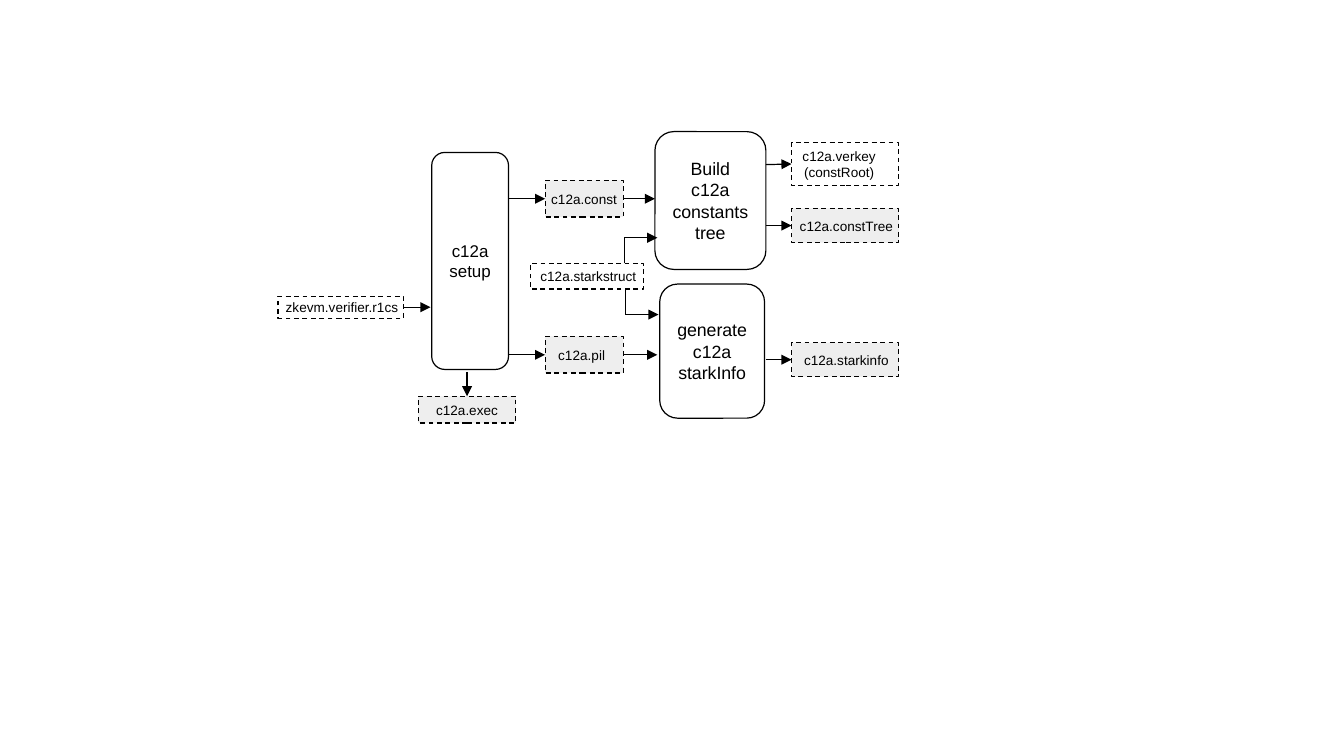
from dataclasses import dataclass

from lxml.etree import SubElement
from pptx import Presentation
from pptx.dml.color import RGBColor as Color
from pptx.enum.dml import MSO_LINE as Dash
from pptx.enum.shapes import MSO_CONNECTOR as Link, MSO_SHAPE as Kind
from pptx.enum.text import MSO_ANCHOR as Anchor, PP_ALIGN as Align
from pptx.oxml.ns import qn
from pptx.util import Inches, Pt


@dataclass(frozen=True)
class Theme:
    font: str = "Arial"
    ink: Color = Color(0, 0, 0)
    white: Color = Color(255, 255, 255)
    grey: Color = Color(0xEE, 0xEE, 0xEE)
    line: float = 0.71
    file: float = 8
    setup: float = 10
    step: float = 10.5


theme = Theme()
deck = Presentation()
deck.slide_width, deck.slide_height = Inches(11.02), Inches(6.2)
slide = deck.slides.add_slide(deck.slide_layouts[6])


def add_box(kind, area, fill, lines, size, pad=0, shift=0):
    """Outlined box with centred text; shift moves the text sideways."""
    box = slide.shapes.add_shape(kind, *map(Inches, area))
    box.shadow.inherit = False
    if fill is None:
        box.fill.background()
    else:
        box.fill.solid()
        box.fill.fore_color.rgb = fill
    box.line.color.rgb = theme.ink
    box.line.width = Pt(theme.line)
    frame = box.text_frame
    frame.word_wrap = pad > 0
    frame.vertical_anchor = Anchor.MIDDLE
    frame.margin_left = Inches(pad + max(0, 2 * shift))
    frame.margin_right = Inches(pad + max(0, -2 * shift))
    frame.margin_top = frame.margin_bottom = 0
    for i, line in enumerate(lines):
        para = frame.paragraphs[0] if i == 0 else frame.add_paragraph()
        para.alignment = Align.CENTER
        run = para.add_run()
        run.text = line
        run.font.name, run.font.size = theme.font, Pt(size)
        run.font.color.rgb = theme.ink
    return box


def add_line(start, end, head=True):
    """Straight line between two points, with an arrowhead if asked."""
    line = slide.shapes.add_connector(Link.STRAIGHT, *map(Inches, start + end))
    line.line.color.rgb = theme.ink
    line.line.width = Pt(theme.line)
    if head:
        SubElement(line.line._get_or_add_ln(), qn("a:tailEnd"), type="triangle")
    SubElement(line._element.spPr, qn("a:effectLst"))
    return line


# Process steps
for area, lines, size in (
    ((3.54, 1.25, 0.63, 1.78), ["c12a", "setup"], theme.setup),
    ((5.37, 1.08, 0.91, 1.13), ["Build", "c12a constants tree"], theme.step),
    ((5.41, 2.33, 0.86, 1.1), ["generate", "c12a", "starkInfo"], theme.step),
):
    step = add_box(Kind.ROUNDED_RECTANGLE, area, theme.white, lines, size, pad=0.04)
    step.adjustments[0] = 0.17

# Files: name, area, fill, text lines, text shift
files = {}
for name, area, fill, lines, shift in (
    ("r1cs", (2.28, 2.43, 1.03, 0.18), None, ["zkevm.verifier.r1cs"], 0.01),
    ("exec", (3.43, 3.25, 0.8, 0.22), theme.grey, ["c12a.exec"], 0),
    ("const", (4.47, 1.48, 0.64, 0.3), theme.grey, ["c12a.const"], 0),
    ("pil", (4.47, 2.76, 0.64, 0.3), theme.grey, ["c12a.pil"], -0.02),
    ("struct", (4.35, 2.16, 0.93, 0.21), None, ["c12a.starkstruct"], 0.01),
    ("key", (6.49, 1.17, 0.88, 0.35), theme.white, ["c12a.verkey", "(constRoot)"], -0.05),
    ("tree", (6.49, 1.71, 0.88, 0.28), theme.grey, ["c12a.constTree"], 0.01),
    ("info", (6.49, 2.81, 0.88, 0.28), theme.grey, ["c12a.starkinfo"], 0.01),
):
    files[name] = add_box(Kind.RECTANGLE, area, fill, lines, theme.file, shift=shift)
    files[name].line.dash_style = Dash.DASH

# Arrows from a step into a file: start point, file, side
for start, name, side in (
    ((4.17, 1.63), "const", 1),
    ((4.17, 2.91), "pil", 1),
    ((3.83, 3.05), "exec", 0),
    ((6.28, 1.35), "key", 1),
    ((6.28, 1.85), "tree", 1),
    ((6.28, 2.95), "info", 1),
):
    add_line(start, start).end_connect(files[name], side)

# Arrows from a file into a step: file, end point
for name, end in (
    ("r1cs", (3.53, 2.52)),
    ("const", (5.37, 1.63)),
    ("pil", (5.39, 2.91)),
):
    add_line(end, end).begin_connect(files[name], 3)

# Bent arrows from the stark struct up and down
for start, bend, end in (
    ((5.12, 2.16), (5.12, 1.95), (5.39, 1.95)),
    ((5.13, 2.38), (5.13, 2.58), (5.4, 2.58)),
):
    add_line(start, bend, head=False)
    add_line(bend, end)

deck.save("out.pptx")
